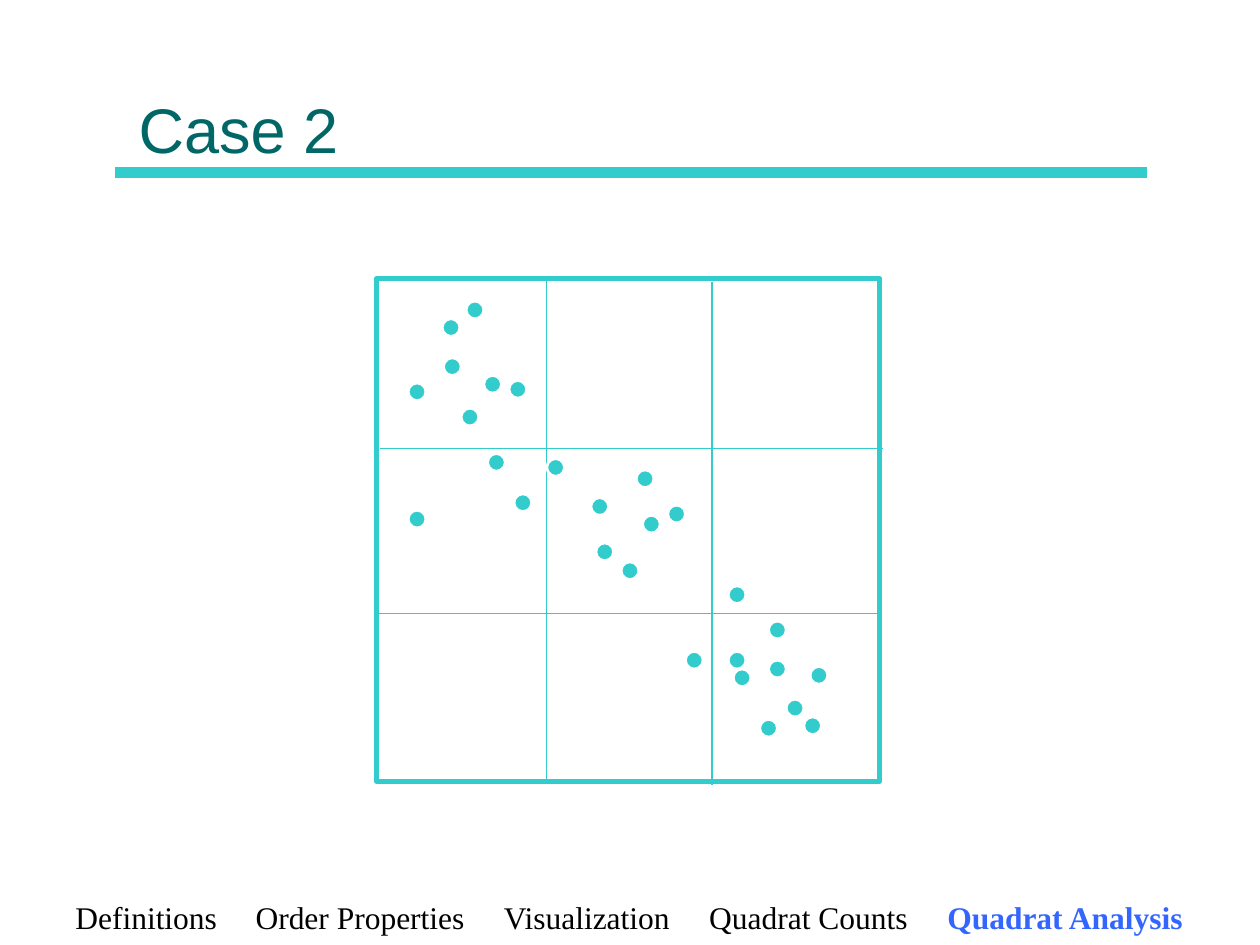
from pptx import Presentation, util as u
from pptx.dml.color import RGBColor
from pptx.enum import shapes, text
from pptx.oxml.ns import qn
from lxml import etree
from dataclasses import dataclass


@dataclass(frozen=True)
class Theme:
    accent: str = "33CCCC"
    heading: str = "006666"
    ink: str = "000000"
    active: str = "3366FF"
    paper: str = "FFFFFF"
    heading_font: str = "Arial"
    body_font: str = "Times New Roman"
    heading_size: int = 36
    body_size: int = 18


THEME = Theme()
EMU_PER_PX = 9144
SLIDE = (1000, 750)

TITLE = "Case 2"
TITLE_BOX = (100, 12, 800, 125)
TITLE_RULE = (91, 137, 910, 137)

SECTIONS = ["Definitions", "Order Properties", "Visualization", "Quadrat Counts", "Quadrat Analysis"]
ACTIVE_SECTION = "Quadrat Analysis"
NAV_BOX = (50, 708, 909, 40)
NAV_STOPS = [143, 340, 503, 692]

STUDY_AREA = (299, 221, 399, 399)
QUADRAT_LINES = [
    (434, 222, 434, 621),
    (565, 224, 565, 623),
    (299, 487, 698, 487),
    (302, 356, 701, 356),
]
EVENT_SIZE = 14
EVENTS = [
    (493, 446), (544, 517), (638, 569), (434, 364), (582, 531), (578, 517), (352, 284),
    (324, 304), (473, 431), (578, 465), (408, 392), (610, 493), (610, 524), (603, 571),
    (387, 360), (469, 395), (624, 555), (643, 529), (351, 253), (324, 405), (370, 239),
    (530, 401), (404, 302), (510, 409), (505, 373), (366, 324), (384, 298),
]


def px(*lengths):
    return [u.Emu(length * EMU_PER_PX) for length in lengths]


def rgb(colour):
    return RGBColor.from_string(colour)


def write(paragraph, words, *, font, size, colour, bold=False):
    run = paragraph.add_run()
    run.text = words
    run.font.name = font
    run.font.size = u.Pt(size)
    run.font.bold = bold
    run.font.color.rgb = rgb(colour)


def draw_line(parent, ends, width):
    line = parent.add_connector(shapes.MSO_CONNECTOR.STRAIGHT, *px(*ends))
    line.line.color.rgb = rgb(THEME.accent)
    line.line.width = u.Pt(width)
    etree.SubElement(line._element.spPr, qn("a:effectLst"))


def draw_shape(parent, preset, box, *, outline, width, fill=None):
    shape = parent.add_shape(preset, *px(*box))
    shape.shadow.inherit = False
    if fill:
        shape.fill.solid()
        shape.fill.fore_color.rgb = rgb(fill)
    else:
        shape.fill.background()
    shape.line.color.rgb = rgb(outline)
    shape.line.width = u.Pt(width)


def add_heading(slide):
    title = slide.shapes.title
    title.left, title.top, title.width, title.height = px(*TITLE_BOX)
    frame = title.text_frame
    frame.auto_size = text.MSO_AUTO_SIZE.NONE
    frame.vertical_anchor = text.MSO_ANCHOR.BOTTOM
    frame.paragraphs[0].alignment = text.PP_ALIGN.LEFT
    write(frame.paragraphs[0], TITLE, font=THEME.heading_font,
          size=THEME.heading_size, colour=THEME.heading)
    draw_line(slide.shapes, TITLE_RULE, 6)


def add_quadrat_map(slide):
    quadrats = slide.shapes.add_group_shape().shapes
    draw_shape(quadrats, shapes.MSO_SHAPE.RECTANGLE, STUDY_AREA, outline=THEME.accent, width=3)
    for ends in QUADRAT_LINES:
        draw_line(quadrats, ends, 0.75)
    for left, top in EVENTS:
        draw_shape(quadrats, shapes.MSO_SHAPE.OVAL, (left, top, EVENT_SIZE, EVENT_SIZE),
                   outline=THEME.paper, width=1.5, fill=THEME.accent)


def add_navigation(slide):
    frame = slide.shapes.add_textbox(*px(*NAV_BOX)).text_frame
    frame.word_wrap = True
    navigation = frame.paragraphs[0]
    stops = etree.SubElement(navigation._p.get_or_add_pPr(), qn("a:tabLst"))
    for position in px(*NAV_STOPS):
        etree.SubElement(stops, qn("a:tab"), pos=str(int(position)), algn="l")
    for index, section in enumerate(SECTIONS):
        active = section == ACTIVE_SECTION
        write(navigation, "\t" + section if index else section, font=THEME.body_font,
              size=THEME.body_size, colour=THEME.active if active else THEME.ink, bold=active)


def main():
    deck = Presentation()
    deck.slide_width, deck.slide_height = px(*SLIDE)
    slide = deck.slides.add_slide(deck.slide_layouts[5])
    add_heading(slide)
    add_quadrat_map(slide)
    add_navigation(slide)
    deck.save("out.pptx")


if __name__ == "__main__":
    main()
